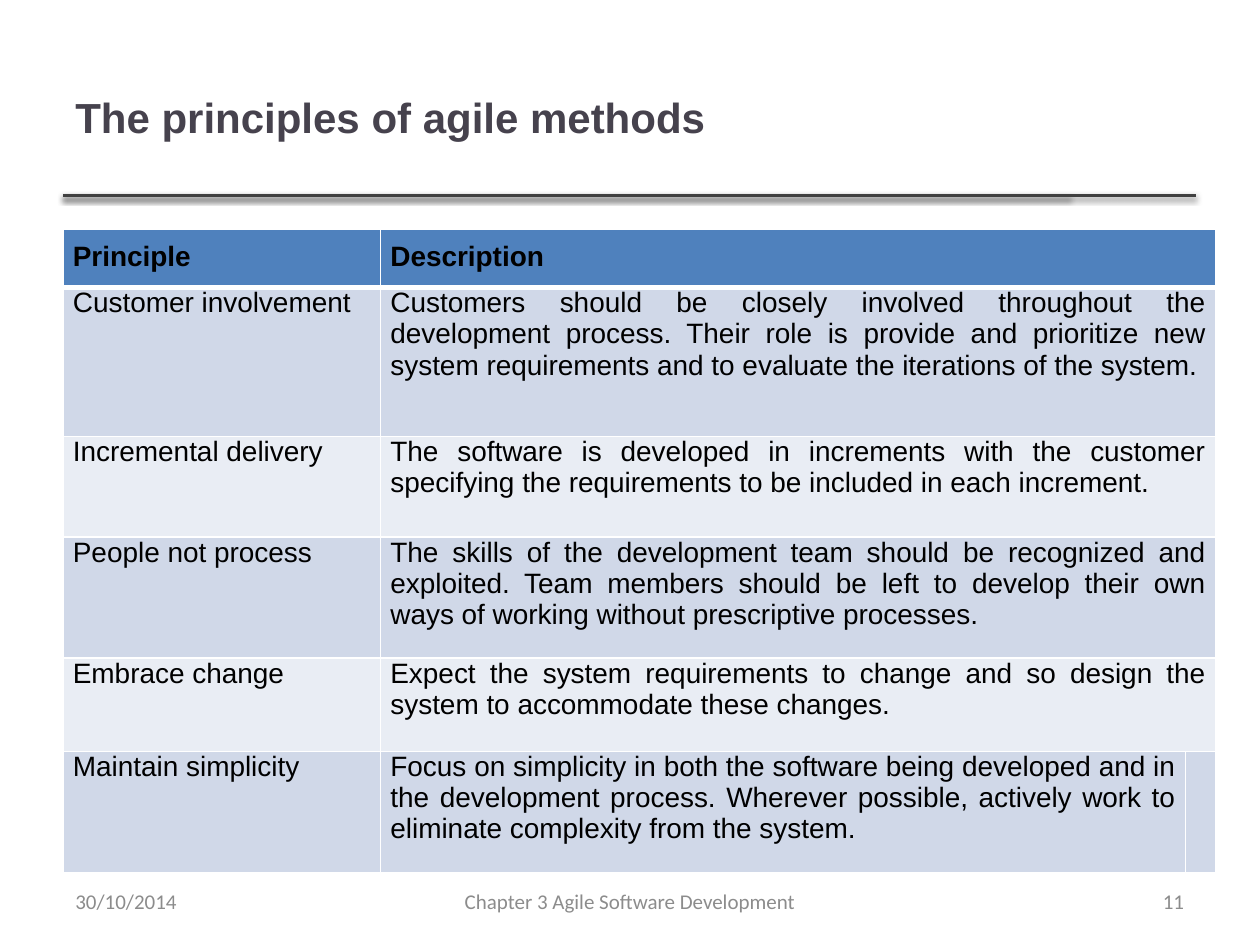
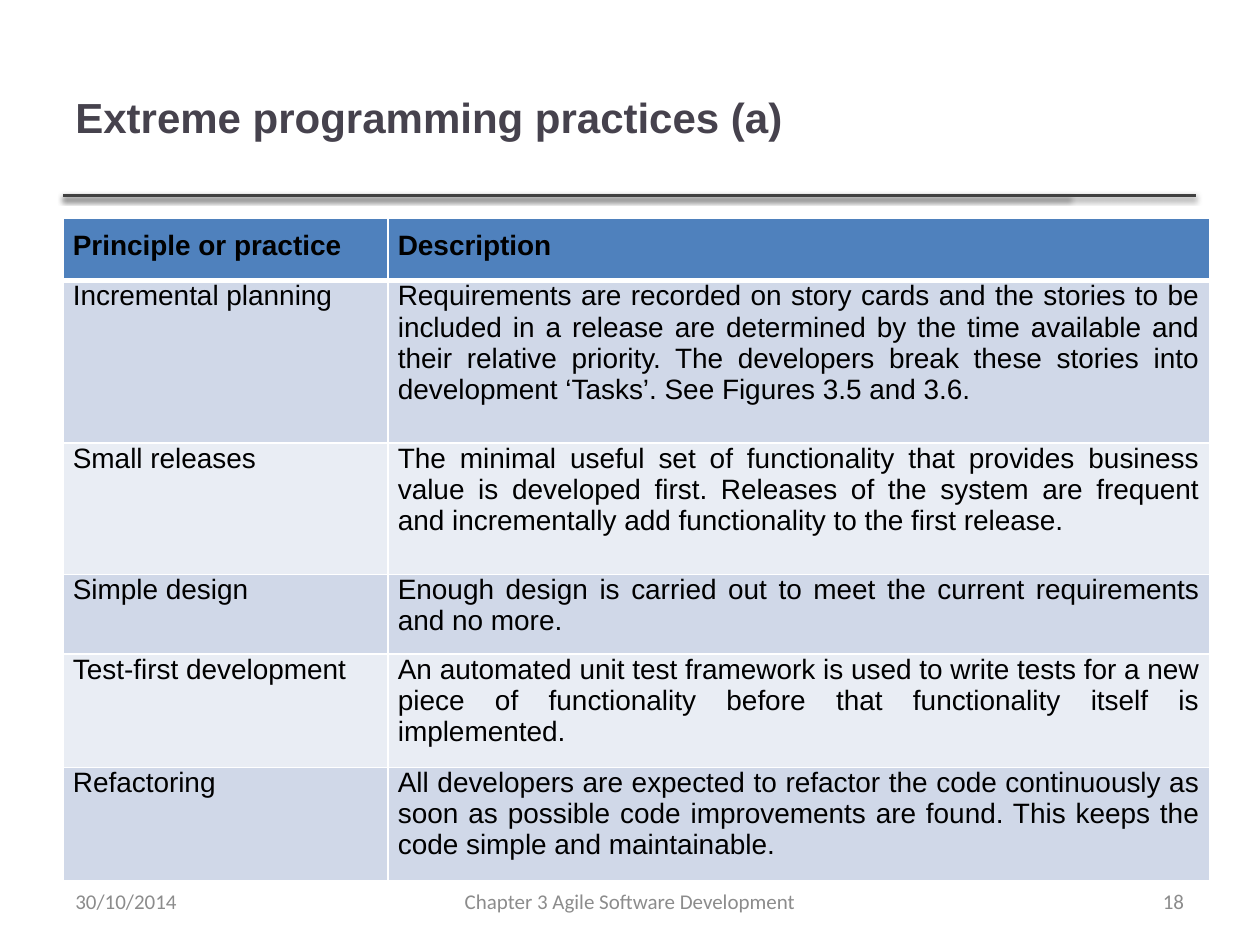
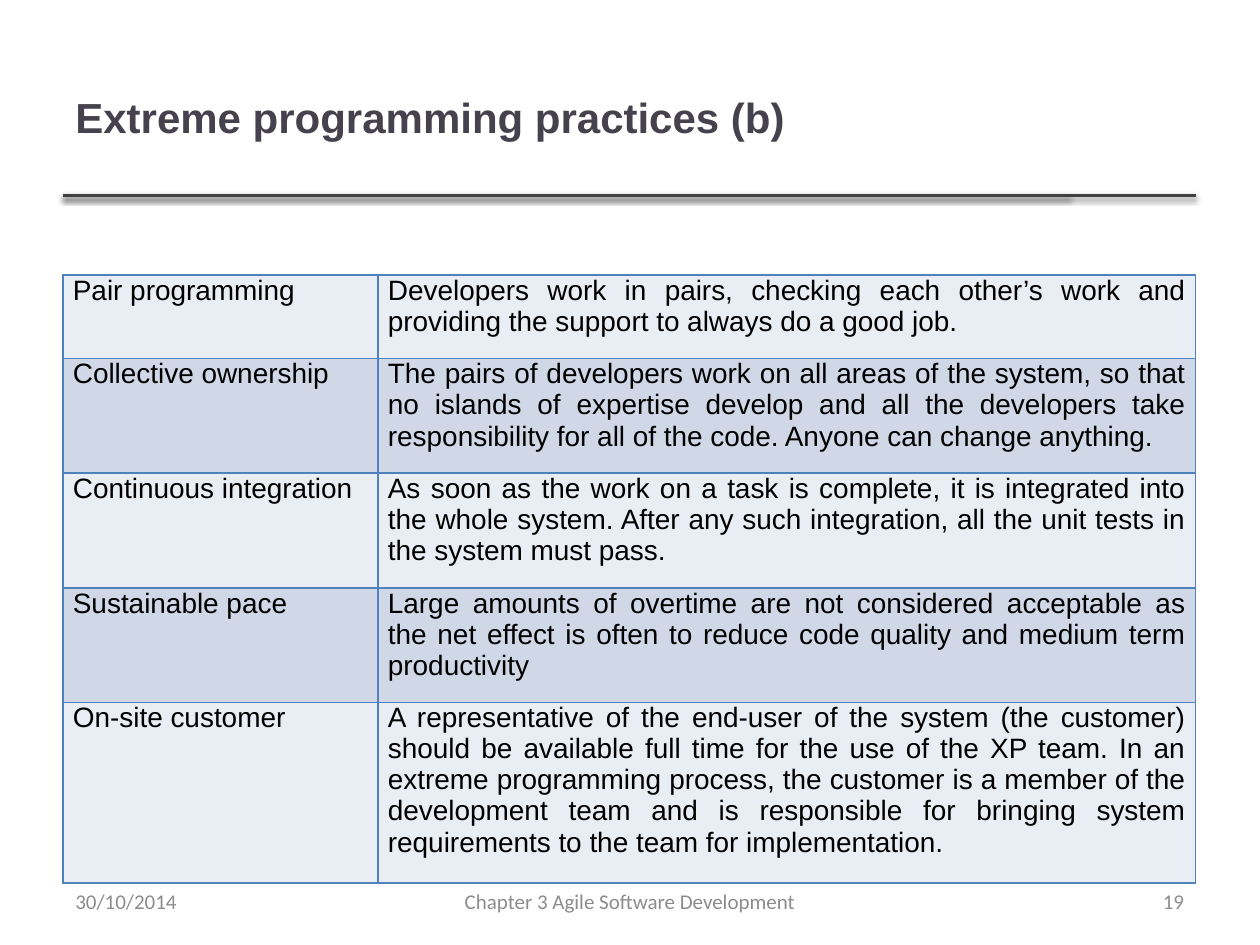
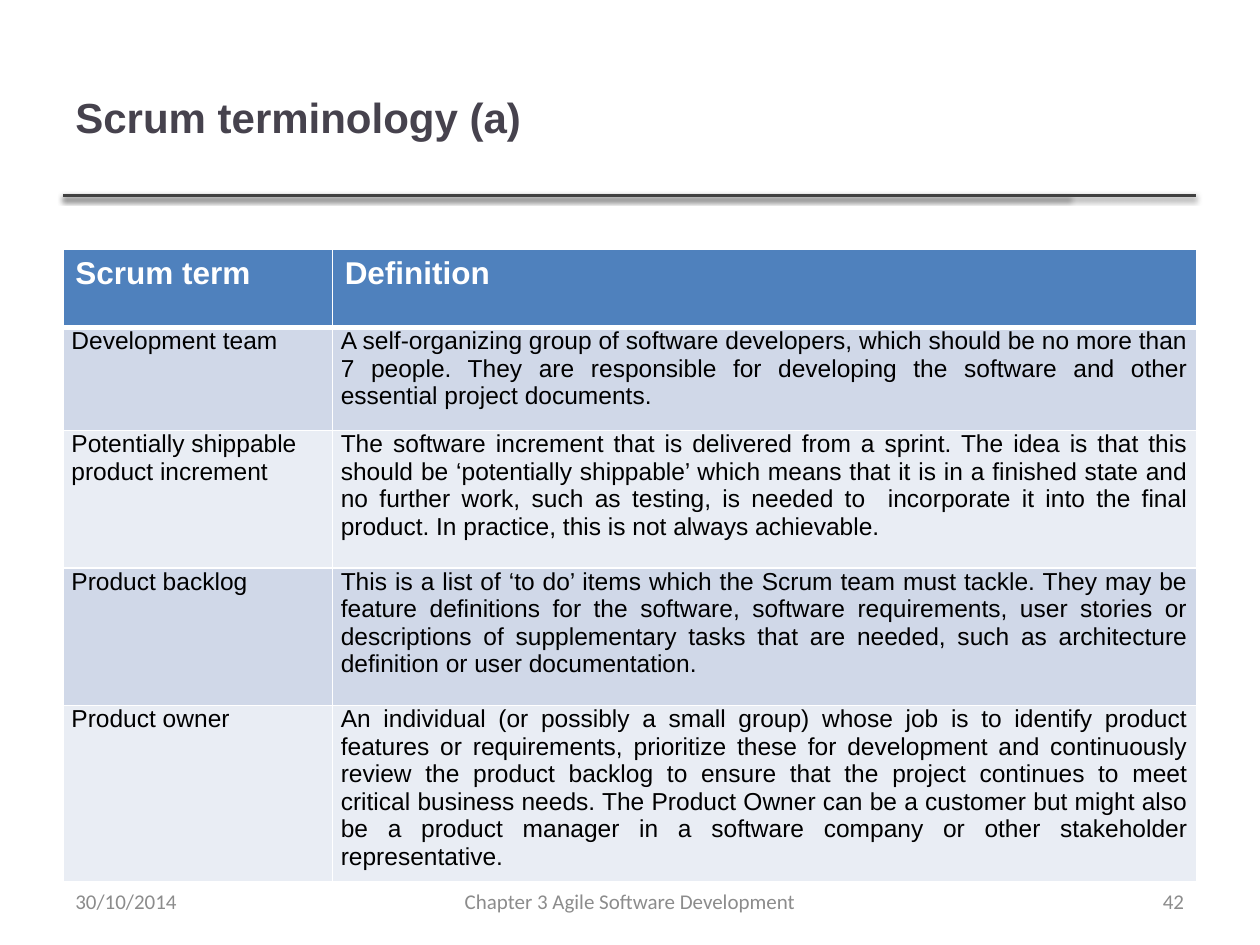
"""Builds four slides of tables on agile software development."""
import pptx
import pptx.dml.color
import pptx.enum.shapes
import pptx.enum.text
import pptx.oxml
import pptx.oxml.ns
import pptx.util

Cm = pptx.util.Cm
Pt = pptx.util.Pt
ALIGN = pptx.enum.text.PP_ALIGN
ANCHOR = pptx.enum.text.MSO_ANCHOR
NS = pptx.oxml.ns.nsdecls("a")


def rgb(value):
    return pptx.dml.color.RGBColor.from_string(value)


def write(tf, text, font="Arial", size=16, color="000000", bold=False, align=ALIGN.LEFT):
    p = tf.paragraphs[0]
    p.alignment = align
    r = p.add_run()
    r.text = text
    r.font.name = font
    r.font.size = Pt(size)
    r.font.bold = bold
    r.font.color.rgb = rgb(color)


class Deck:
    LEFT = 1.27
    RULE_TOP = 3.94
    RULE_ENDS = (21.56, 24.1)
    TITLE = "46424D"
    RULE = "404040"
    FOOTER = "8C8C8C"
    BLUE = "4F81BD"
    WHITE = "FFFFFF"
    BANDS = ("D0D8E8", "E9EDF4")
    DATE = "30/10/2014"
    CHAPTER = "Chapter 3 Agile Software Development"

    def __init__(self):
        self.prs = pptx.Presentation()
        self.prs.slide_width, self.prs.slide_height = Cm(25.4), Cm(19.05)
        self.s = None

    def slide(self, title, number):
        self.s = self.prs.slides.add_slide(self.prs.slide_layouts[6])
        for end in self.RULE_ENDS:
            self.rule(end)
        self.text(title, self.LEFT, 0.76, 20.27, 3.18, size=24, color=self.TITLE, bold=True)
        self.footer(self.DATE, self.LEFT, 5.92, ALIGN.LEFT)
        self.footer(self.CHAPTER, 8.68, 8.04, ALIGN.CENTER)
        self.footer(str(number), 18.2, 5.92, ALIGN.RIGHT)

    def rule(self, end):
        sp = self.s.shapes.add_connector(
            pptx.enum.shapes.MSO_CONNECTOR.STRAIGHT,
            Cm(self.LEFT), Cm(self.RULE_TOP), Cm(end), Cm(self.RULE_TOP))
        sp.line.color.rgb = rgb(self.RULE)
        sp.line.width = Pt(2)
        sp._element.spPr.append(pptx.oxml.parse_xml(
            f'<a:effectLst {NS}><a:outerShdw blurRad="40000" dist="20000" dir="5400000" rotWithShape="0">'
            '<a:srgbClr val="000000"><a:alpha val="38000"/></a:srgbClr></a:outerShdw></a:effectLst>'))

    def text(self, text, left, top, width, height, **style):
        tf = self.s.shapes.add_textbox(Cm(left), Cm(top), Cm(width), Cm(height)).text_frame
        tf.word_wrap = True
        tf.vertical_anchor = ANCHOR.MIDDLE
        write(tf, text, **style)

    def footer(self, text, left, width, align):
        self.text(text, left, 17.65, width, 1.02, font="Calibri", size=12, color=self.FOOTER, align=align)

    def table(self, top, widths, heights, rows, header=None, margins=(0.2, 0, 0.25),
              size=16, term_align=ALIGN.JUSTIFY, border=WHITE, bands=BANDS):
        """Rows shorter than the grid span their last cell; header holds the style of the first row."""
        table = self.s.shapes.add_table(len(rows), len(widths), Cm(self.LEFT), Cm(top),
                                        Cm(sum(widths)), Cm(sum(heights))).table
        table.first_row = table.horz_banding = False
        for column, width in zip(table.columns, widths):
            column.width = Cm(width)
        for i, (row, height, texts) in enumerate(zip(table.rows, heights, rows)):
            row.height = Cm(height)
            is_header = header is not None and i == 0
            fill = self.BLUE if is_header else bands[(i - (header is not None)) % 2]
            top_pt = 3 if header and i == 1 else 1
            bottom_pt = 3 if is_header else 1
            for j, cell in enumerate(row.cells):
                self.cell(cell, fill, border, top_pt, bottom_pt)
                if j >= len(texts) or not texts[j]:
                    continue
                if is_header:
                    self.fill_text(cell, texts[j], **header)
                else:
                    align = ALIGN.JUSTIFY if j else term_align
                    self.fill_text(cell, texts[j], margins, size=size, align=align)
            if len(texts) < len(widths):
                table.cell(i, len(texts) - 1).merge(table.cell(i, len(widths) - 1))

    def cell(self, cell, fill, border, top_pt, bottom_pt):
        tcPr = cell._tc.get_or_add_tcPr()
        for side, width in zip("LRTB", (1, 1, top_pt, bottom_pt)):
            tcPr.append(pptx.oxml.parse_xml(
                f'<a:ln{side} {NS} w="{Pt(width)}"><a:solidFill><a:srgbClr val="{border}"/>'
                f'</a:solidFill></a:ln{side}>'))
        cell.fill.solid()
        cell.fill.fore_color.rgb = rgb(fill)

    def fill_text(self, cell, text, margins, **style):
        side, top, bottom = margins
        cell.margin_left = cell.margin_right = Cm(side)
        cell.margin_top, cell.margin_bottom = Cm(top), Cm(bottom)
        write(cell.text_frame, text, **style)


deck = Deck()
black_header = dict(margins=(0.2, 0.25, 0.25), bold=True, align=ALIGN.JUSTIFY)
white_header = dict(margins=(0.25, 0.13, 0.13), bold=True, size=18, color=deck.WHITE)

deck.slide("The principles of agile methods", 11)
deck.table(4.62, (6.4, 16.23, 0.36), (1.12, 3, 2.03, 2.44, 1.88, 2.44), [
    ("Principle", "Description"),
    ("Customer involvement",
     "Customers should be closely involved throughout the development process. Their role is provide "
     "and prioritize new system requirements and to evaluate the iterations of the system."),
    ("Incremental delivery",
     "The software is developed in increments with the customer specifying the requirements to be "
     "included in each increment."),
    ("People not process",
     "The skills of the development team should be recognized and exploited. Team members should be "
     "left to develop their own ways of working without prescriptive processes."),
    ("Embrace change",
     "Expect the system requirements to change and so design the system to accommodate these changes."),
    ("Maintain simplicity",
     "Focus on simplicity in both the software being developed and in the development process. "
     "Wherever possible, actively work to eliminate complexity from the system.", ""),
], black_header)

deck.slide("Extreme programming practices (a)", 18)
deck.table(4.39, (6.55, 16.56), (1.27, 3.27, 2.65, 1.51, 2.13, 2.13), [
    ("Principle or practice", "Description"),
    ("Incremental planning",
     "Requirements are recorded on story cards and the stories to be included in a release are "
     "determined by the time available and their relative priority. The developers break these "
     "stories into development ‘Tasks’. See Figures 3.5 and 3.6."),
    ("Small releases",
     "The minimal useful set of functionality that provides business value is developed first. "
     "Releases of the system are frequent and incrementally add functionality to the first release."),
    ("Simple design",
     "Enough design is carried out to meet the current requirements and no more."),
    ("Test-first development",
     "An automated unit test framework is used to write tests for a new piece of functionality "
     "before that functionality itself is implemented."),
    ("Refactoring",
     "All developers are expected to refactor the code continuously as soon as possible code "
     "improvements are found. This keeps the code simple and maintainable."),
], black_header)

deck.slide("Extreme programming practices (b)", 19)
deck.table(5.54, (6.35, 16.48), (1.69, 2.31, 2.31, 2.31, 3.56), [
    ("Pair programming",
     "Developers work in pairs, checking each other’s work and providing the support to always do "
     "a good job."),
    ("Collective ownership",
     "The pairs of developers work on all areas of the system, so that no islands of expertise "
     "develop and all the developers take responsibility for all of the code. Anyone can change "
     "anything."),
    ("Continuous integration",
     "As soon as the work on a task is complete, it is integrated into the whole system. After any "
     "such integration, all the unit tests in the system must pass."),
    ("Sustainable pace",
     "Large amounts of overtime are not considered acceptable as the net effect is often to reduce "
     "code quality and medium term productivity"),
    ("On-site customer",
     "A representative of the end-user of the system (the customer) should be available full time "
     "for the use of the XP team. In an extreme programming process, the customer is a member of "
     "the development team and is responsible for bringing system requirements to the team for "
     "implementation."),
], border=deck.BLUE, bands=deck.BANDS[::-1])

deck.slide("Scrum terminology (a)", 42)
deck.table(5.03, (5.43, 17.42), (1.57, 2.08, 2.77, 2.77, 3.33), [
    ("Scrum term", "Definition"),
    ("Development team",
     "A self-organizing group of software developers, which should be no more than 7 people. They "
     "are responsible for developing the software and other essential project documents."),
    ("Potentially shippable product increment",
     "The software increment that is delivered from a sprint. The idea is that this should be "
     "‘potentially shippable’ which means that it is in a finished state and no further work, such "
     "as testing, is needed to  incorporate it into the final product. In practice, this is not "
     "always achievable."),
    ("Product backlog",
     "This is a list of ‘to do’ items which the Scrum team must tackle. They may be feature "
     "definitions for the software, software requirements, user stories or descriptions of "
     "supplementary tasks that are needed, such as architecture definition or user documentation."),
    ("Product owner",
     "An individual (or possibly a small group) whose job is to identify product features or "
     "requirements, prioritize these for development and continuously review the product backlog to "
     "ensure that the project continues to meet critical business needs. The Product Owner can be a "
     "customer but might also be a product manager in a software company or other stakeholder "
     "representative."),
], white_header, margins=(0.17, 0, 0), size=14, term_align=ALIGN.LEFT)

deck.prs.save("out.pptx")
